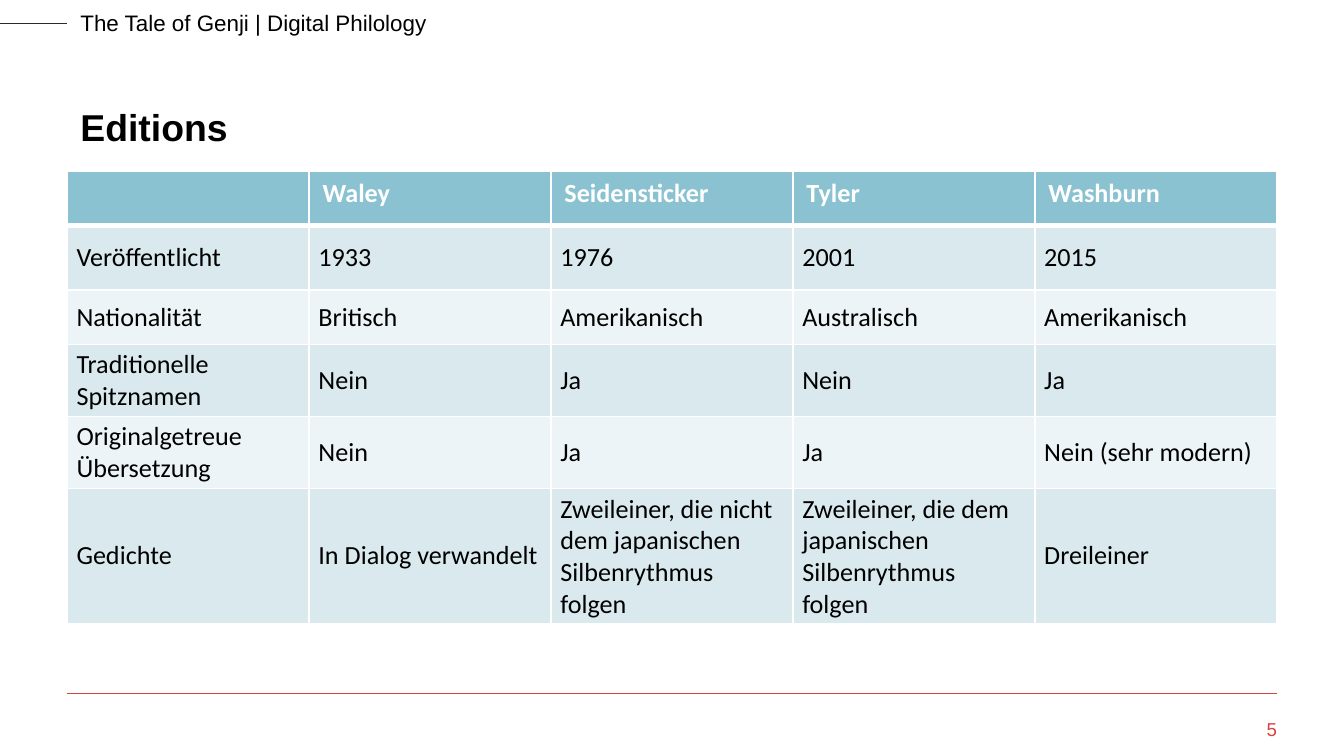
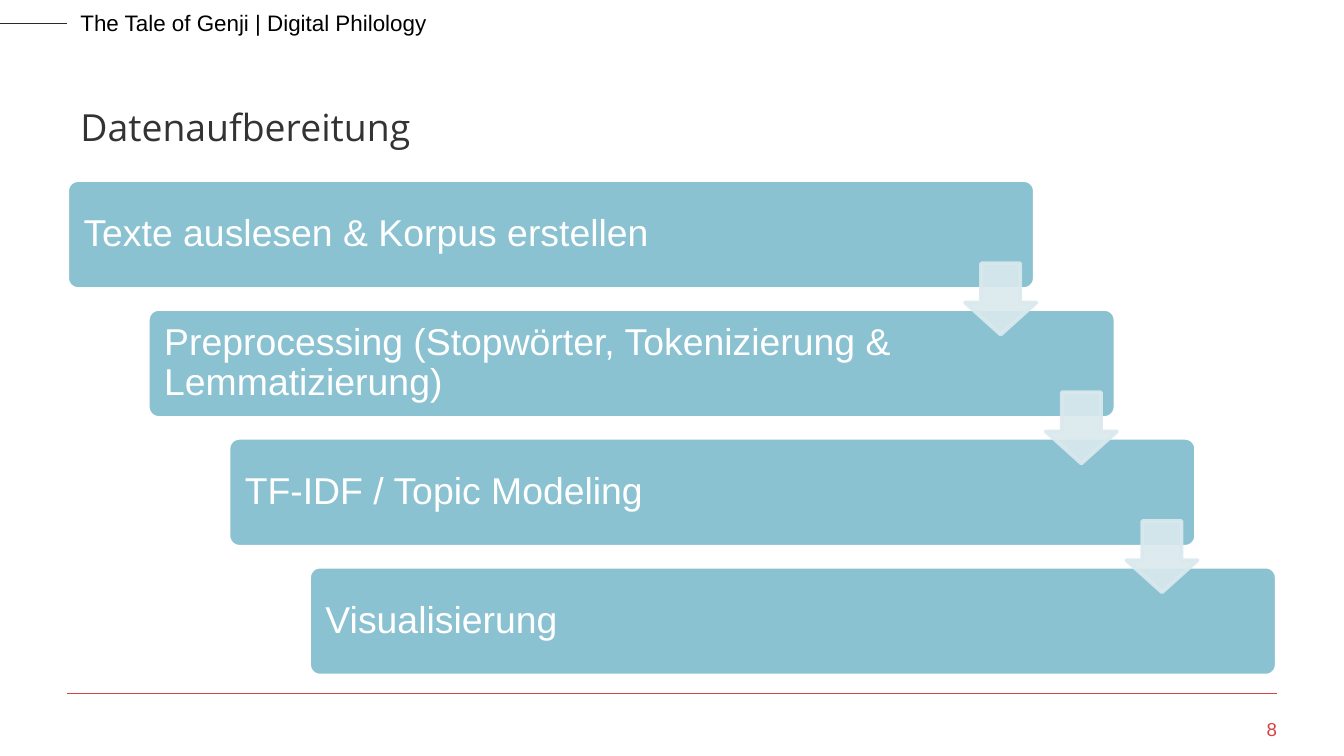
from collections import namedtuple

from lxml.etree import SubElement
from pptx import Presentation
from pptx.dml.color import RGBColor
from pptx.enum.shapes import MSO_CONNECTOR as Connector, MSO_SHAPE as Shape
from pptx.enum.text import MSO_ANCHOR as Anchor, PP_ALIGN as Align
from pptx.oxml.ns import qn
from pptx.util import Pt

WHITE = RGBColor(0xFF, 0xFF, 0xFF)
BLACK = RGBColor(0x00, 0x00, 0x00)
CHARCOAL = RGBColor(0x33, 0x33, 0x33)
INK = RGBColor(0x26, 0x2A, 0x31)
RED = RGBColor(0xD8, 0x41, 0x3E)
TEAL = RGBColor(0x8A, 0xC2, 0xD1)
PALE_TEAL = RGBColor(0xDA, 0xE9, 0xEE)
FAINT_TEAL = RGBColor(0xED, 0xF4, 0xF7)

Box = namedtuple("Box", "left top width height")

SLIDE_WIDTH, SLIDE_HEIGHT = 720, 405
MARGIN = 36
CONTENT_WIDTH = SLIDE_WIDTH - 2 * MARGIN
HEADER_BOX = Box(MARGIN, 1.5, 551.5, 21.6)
TITLE_BOX = Box(MARGIN, 24, CONTENT_WIDTH, 59.5)
NUMBER_BOX = Box(625.7, 384.5, 58.3, 15.8)
TABLE_BOX = Box(MARGIN, 91.5, CONTENT_WIDTH, 182.8)
STEPS_BOX = Box(MARGIN, 96.5, CONTENT_WIDTH, 265.5)

RUNNING_HEAD = "The Tale of Genji | Digital Philology"
EDITIONS = [
    ["", "Waley", "Seidensticker", "Tyler", "Washburn"],
    ["Veröffentlicht", "1933", "1976", "2001", "2015"],
    ["Nationalität", "Britisch", "Amerikanisch", "Australisch", "Amerikanisch"],
    ["Traditionelle Spitznamen", "Nein", "Ja", "Nein", "Ja"],
    ["Originalgetreue Übersetzung", "Nein", "Ja", "Ja", "Nein (sehr modern)"],
    ["Gedichte", "In Dialog verwandelt",
     "Zweileiner, die nicht dem japanischen Silbenrythmus folgen",
     "Zweileiner, die dem japanischen Silbenrythmus folgen", "Dreileiner"],
]
ROW_HEIGHTS = [29.2, 34.6, 29.2, 29.2, 29.2, 30.2]
STEPS = [
    "Texte auslesen & Korpus erstellen",
    "Preprocessing (Stopwörter, Tokenizierung & Lemmatizierung)",
    "TF-IDF / Topic Modeling",
    "Visualisierung",
]


def in_points(box):
    return [Pt(length) for length in box]


def set_margins(target, left, top, right, bottom):
    target.margin_left, target.margin_top = Pt(left), Pt(top)
    target.margin_right, target.margin_bottom = Pt(right), Pt(bottom)


def style(paragraph, size, color, font="Arial", bold=False):
    paragraph.font.name = font
    paragraph.font.size = Pt(size)
    paragraph.font.bold = bold
    paragraph.font.color.rgb = color


def add_text(slide, box, text, size, color, font="Arial", bold=False, anchor=Anchor.TOP):
    frame = slide.shapes.add_textbox(*in_points(box)).text_frame
    frame.word_wrap = True
    frame.vertical_anchor = anchor
    paragraph = frame.paragraphs[0]
    paragraph.text = text
    style(paragraph, size, color, font, bold)
    return frame


def add_rule(slide, left, right, y, color):
    rule = slide.shapes.add_connector(Connector.STRAIGHT, Pt(left), Pt(y), Pt(right), Pt(y))
    rule.line.color.rgb = color
    rule.line.width = Pt(0.25)
    SubElement(rule._element.spPr, qn("a:effectLst"))


def add_solid(slide, kind, box, fill, outline, adjustments):
    shape = slide.shapes.add_shape(kind, *in_points(box))
    shape.shadow.inherit = False
    shape.fill.solid()
    shape.fill.fore_color.rgb = fill
    shape.line.color.rgb = outline
    shape.line.width = Pt(2)
    for index, value in enumerate(adjustments):
        shape.adjustments[index] = value
    return shape


def add_content_slide(presentation, title, number, title_color, title_font="Arial", bold=False):
    slide = presentation.slides.add_slide(presentation.slide_layouts[6])
    slide.background.fill.solid()
    slide.background.fill.fore_color.rgb = WHITE
    add_rule(slide, 0, MARGIN, 12.4, INK)
    add_text(slide, HEADER_BOX, RUNNING_HEAD, 12, BLACK)
    add_rule(slide, MARGIN, SLIDE_WIDTH - MARGIN, 371.2, RED)
    add_text(slide, TITLE_BOX, title, 20, title_color, title_font, bold, Anchor.BOTTOM)
    footer = add_text(slide, NUMBER_BOX, str(number), 10, RED)
    set_margins(footer, 0, 0, 0, 0)
    footer.paragraphs[0].alignment = Align.RIGHT
    return slide


def set_borders(cell, is_header, below_header):
    properties = cell._tc.get_or_add_tcPr()
    widths = {"L": 1, "R": 1, "T": 3 if below_header else 1, "B": 3 if is_header else 1}
    for side, width in widths.items():
        line = SubElement(properties, qn(f"a:ln{side}"), w=str(Pt(width)))
        fill = SubElement(line, qn("a:solidFill"))
        SubElement(fill, qn("a:srgbClr"), val=str(WHITE))


def add_table(slide, box, rows, heights):
    columns = len(rows[0])
    table = slide.shapes.add_table(len(rows), columns, *in_points(box)).table
    for column in table.columns:
        column.width = Pt(box.width / columns)
    for row_index, (texts, height) in enumerate(zip(rows, heights)):
        table.rows[row_index].height = Pt(height)
        is_header = row_index == 0
        band = TEAL if is_header else PALE_TEAL if row_index % 2 else FAINT_TEAL
        for column_index, text in enumerate(texts):
            cell = table.cell(row_index, column_index)
            set_borders(cell, is_header, row_index == 1)
            cell.fill.solid()
            cell.fill.fore_color.rgb = band
            if not is_header:
                cell.vertical_anchor = Anchor.MIDDLE
                set_margins(cell, 5, 2.5, 5, 2.5)
            paragraph = cell.text_frame.paragraphs[0]
            paragraph.text = text
            style(paragraph, 14, WHITE if is_header else BLACK, "Calibri", is_header)


def add_step(slide, box, text):
    bar = add_solid(slide, Shape.ROUNDED_RECTANGLE, box, TEAL, WHITE, [0.1])
    frame = bar.text_frame
    frame.word_wrap = True
    frame.vertical_anchor = Anchor.MIDDLE
    set_margins(frame, 7.2, 7.2, 88, 7.2)
    paragraph = frame.paragraphs[0]
    paragraph.text = text
    paragraph.alignment = Align.LEFT
    paragraph.line_spacing = 0.9
    style(paragraph, 20, WHITE)


def add_step_arrow(slide, box):
    arrow = add_solid(slide, Shape.DOWN_ARROW, box, PALE_TEAL, PALE_TEAL, [0.45, 0.55])
    arrow.adjustments[0], arrow.adjustments[1] = 0.55, 0.45
    for color in arrow._element.spPr.iter(qn("a:srgbClr")):
        SubElement(color, qn("a:alpha"), val="90000")


def add_staircase(slide, box, steps):
    width, height, arrow_size = box.width * 0.8, 58.4, 38.2
    shift = (box.width - width) / (len(steps) - 1)
    drop = (box.height - height) / (len(steps) - 1)
    bars = [Box(box.left + index * shift, box.top + index * drop, width, height)
            for index in range(len(steps))]
    for bar, text in zip(bars, steps):
        add_step(slide, bar, text)
    for bar in bars[:-1]:
        add_step_arrow(slide, Box(bar.left + width - arrow_size + 0.8, bar.top + 44.6,
                                  arrow_size, arrow_size))


def main():
    presentation = Presentation()
    presentation.slide_width, presentation.slide_height = Pt(SLIDE_WIDTH), Pt(SLIDE_HEIGHT)
    editions = add_content_slide(presentation, "Editions", 5, BLACK, bold=True)
    add_table(editions, TABLE_BOX, EDITIONS, ROW_HEIGHTS)
    preparation = add_content_slide(presentation, "Datenaufbereitung", 8, CHARCOAL, "Open Sans")
    add_staircase(preparation, STEPS_BOX, STEPS)
    presentation.save("out.pptx")


if __name__ == "__main__":
    main()
